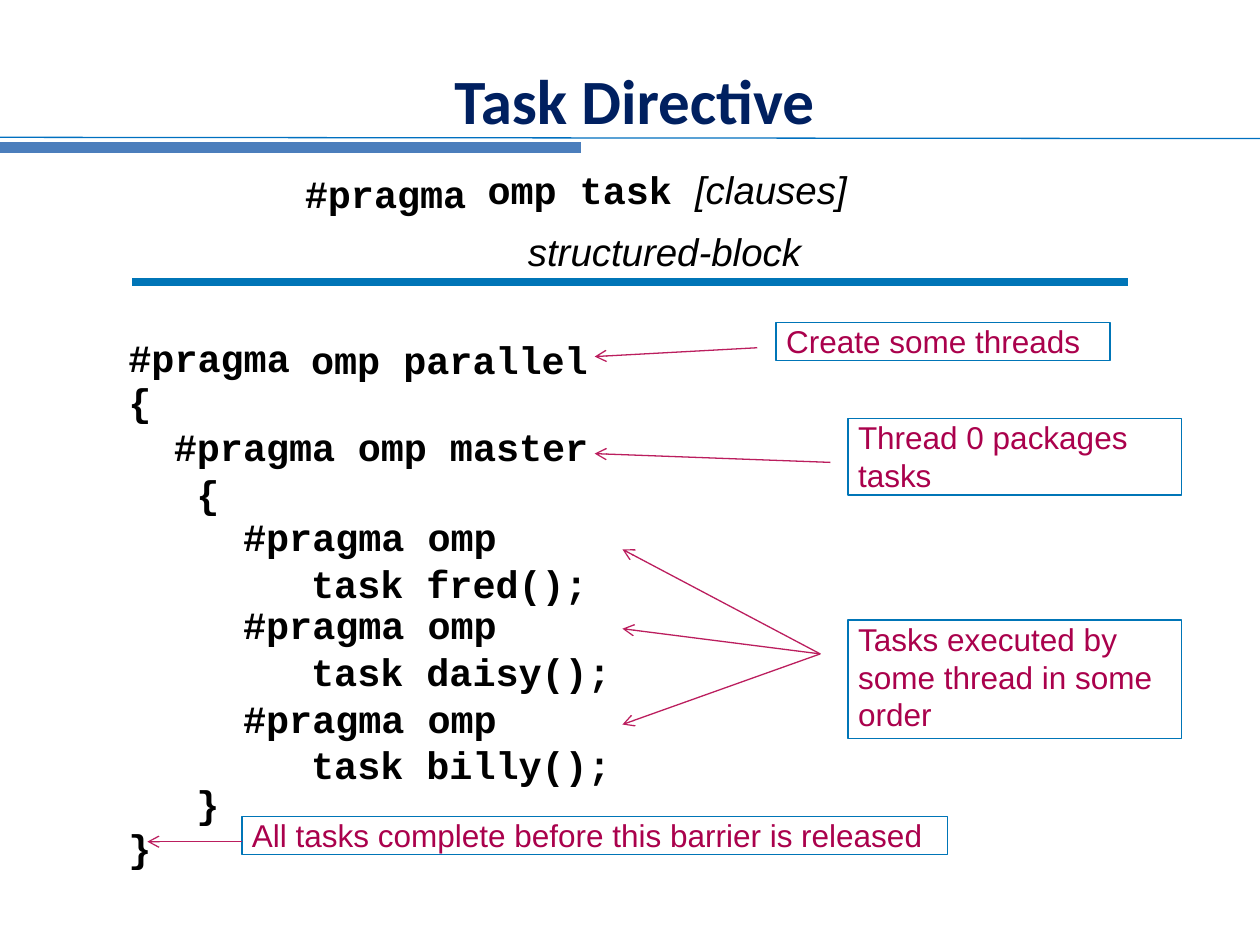
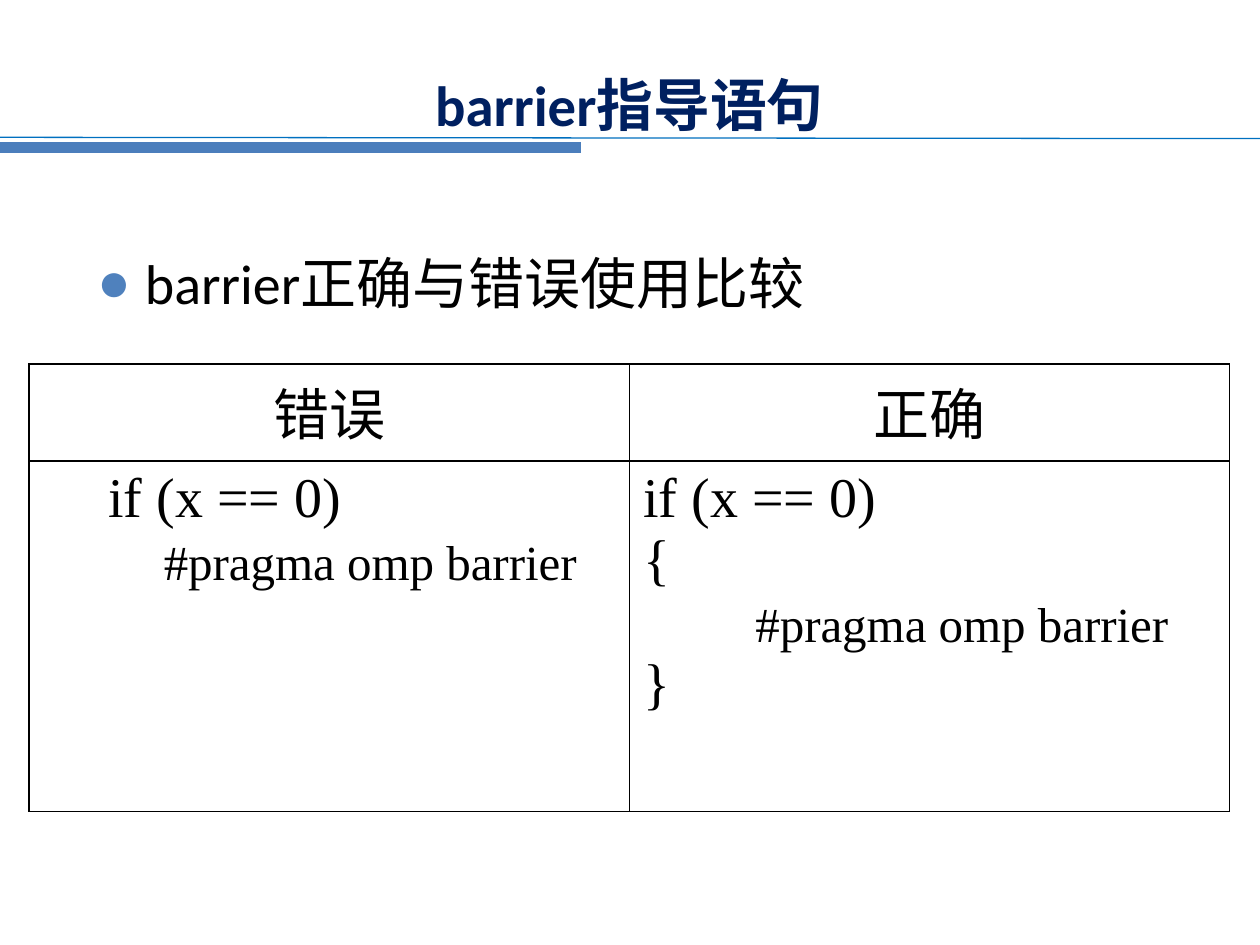
from dataclasses import dataclass
from typing import Optional

from lxml.etree import SubElement
from pptx import Presentation
from pptx.dml.color import RGBColor
from pptx.enum.shapes import MSO_CONNECTOR as Connector, MSO_SHAPE as Preset
from pptx.enum.text import MSO_ANCHOR as Anchor, MSO_AUTO_SIZE as AutoSize, PP_ALIGN as Align
from pptx.oxml import parse_xml
from pptx.oxml.ns import nsdecls, qn
from pptx.util import Emu, Inches, Pt

COLORS = {
    "title": "002060",
    "rule": "0070C0",
    "band": "4B7EBC",
    "frame": "0075B7",
    "callout": "AA014C",
    "arrow": "BB1E5E",
    "bullet": "4F81BD",
    "text": "000000",
}
CODE, SANS, SERIF, HEADING = "Courier New", "Arial", "Times New Roman", "Calibri"
COLUMNS, ROWS = 100, 75
UNIT = Inches(0.1)
TABLE_SIZE = 32


@dataclass(frozen=True)
class Box:
    column: float
    row: float
    columns: float
    rows: float

    def place(self) -> tuple:
        return tuple(grid(n) for n in (self.column, self.row, self.columns, self.rows))


@dataclass(frozen=True)
class Line:
    start: tuple
    end: tuple
    color: str
    width: float = 0.75
    arrow: bool = False


@dataclass(frozen=True)
class Style:
    font: str
    size: float
    color: str = "text"
    bold: bool = False
    italic: bool = False


@dataclass(frozen=True)
class Code:
    box: Box
    text: str
    margin: float = 0.01
    indent: float = 0
    spacing: Optional[float] = None
    style: Style = Style(CODE, 22, bold=True)


@dataclass(frozen=True)
class CodeLine:
    text: str
    size: float
    margin: float


CALLOUT = Style(SANS, 18, "callout")
SYNTAX = Style(SANS, 22, italic=True)
TITLE_BOX = Box(2.3, 5.5, 95.3, 5.4)
BANDS = [
    Line((0, 10.9), (COLUMNS, 11), "rule"),
    Line((0, 11.7), (46.1, 11.7), "band", 6),
]

CODE_BLOCKS = [
    Code(Box(10.1, 26.6, 13.5, 7), "#pragma\n{", spacing=Pt(25.5)),
    Code(Box(24.6, 26.7, 28, 3.7), "omp parallel"),
    Code(Box(13.7, 33.6, 13.5, 3.7), "#pragma"),
    Code(Box(15.5, 37.3, 4, 3.7), "{"),
    Code(Box(28.3, 33.6, 23.3, 3.7), "omp master"),
    Code(Box(19.2, 40.7, 32, 7.5), "#pragma omp\vtask fred();", 0.55, -0.54, 1.01),
    Code(Box(19.2, 47.7, 32, 15),
         "#pragma omp\vtask daisy();\n#pragma omp\vtask billy();", 0.55, -0.54, 1.01),
    Code(Box(15.5, 61.9, 4, 3.7), "}"),
    Code(Box(10.1, 65.4, 4, 3.7), "}"),
    Code(Box(24.1, 13.5, 13.5, 3.7), "#pragma"),
    Code(Box(41.8, 18.1, 24, 3.7), "structured-block", style=SYNTAX),
]
CALLOUTS = {
    "Create some threads": Box(61.6, 25.6, 26.5, 3),
    "Thread 0 packages tasks": Box(67.3, 33.2, 26.5, 6.1),
    "Tasks executed by some thread in some order": Box(67.3, 49.2, 26.5, 9.4),
    "All tasks complete before this barrier is released": Box(19.2, 64.8, 56, 3),
}
TASK_ORIGIN = (65.1, 51.9)
ARROWS = [
    ((60.1, 27.6), (47.2, 28.3)),
    ((65.9, 36.7), (47.2, 36)),
    (TASK_ORIGIN, (49.4, 43.6)),
    (TASK_ORIGIN, (49.4, 49.9)),
    (TASK_ORIGIN, (49.4, 57.5)),
    ((19.2, 66.8), (11.7, 66.8)),
]
COMPARISON = {
    "错误": [
        CodeLine("if (x == 0)", TABLE_SIZE, 0.52),
        CodeLine("#pragma omp barrier", 28, 0.96),
    ],
    "正确": [
        CodeLine("if (x == 0)", TABLE_SIZE, 0),
        CodeLine("{", TABLE_SIZE, 0),
        CodeLine("#pragma omp barrier", 28, 0.89),
        CodeLine("}", TABLE_SIZE, 0),
    ],
}


def grid(count: float) -> Emu:
    return Emu(round(count * UNIT))


def rgb(name: str) -> RGBColor:
    return RGBColor.from_string(COLORS[name])


def format_run(run, style: Style) -> None:
    run.font.name = style.font
    run.font.size = Pt(style.size)
    run.font.bold = style.bold
    run.font.italic = style.italic
    run.font.color.rgb = rgb(style.color)


def format_text(text_frame, style: Style) -> None:
    for paragraph in text_frame.paragraphs:
        for run in paragraph.runs:
            format_run(run, style)


def indent_paragraph(paragraph, margin: float, indent: float = 0) -> None:
    properties = paragraph._p.get_or_add_pPr()
    properties.set("marL", str(Inches(margin)))
    properties.set("indent", str(Inches(indent)))


def clear_margins(text_frame) -> None:
    text_frame.margin_left = text_frame.margin_right = 0
    text_frame.margin_top = text_frame.margin_bottom = 0
    text_frame.word_wrap = True
    text_frame.vertical_anchor = Anchor.TOP


def draw_line(slide, line: Line) -> None:
    ends = [grid(n) for n in (*line.start, *line.end)]
    connector = slide.shapes.add_connector(Connector.STRAIGHT, *ends)
    connector.line.color.rgb = rgb(line.color)
    connector.line.width = Pt(line.width)
    if line.arrow:
        SubElement(connector.line._ln, qn("a:tailEnd"), type="arrow", w="med", len="med")
    SubElement(connector._element.spPr, qn("a:effectLst"))


def draw_code(slide, code: Code):
    text_frame = slide.shapes.add_textbox(*code.box.place()).text_frame
    clear_margins(text_frame)
    text_frame.text = code.text
    for paragraph in text_frame.paragraphs:
        indent_paragraph(paragraph, code.margin, code.indent)
        paragraph.line_spacing = code.spacing
    format_text(text_frame, code.style)
    return text_frame


def draw_callout(slide, text: str, box: Box) -> None:
    shape = slide.shapes.add_shape(Preset.RECTANGLE, *box.place())
    shape.shadow.inherit = False
    shape.fill.background()
    shape.line.color.rgb = rgb("frame")
    shape.line.width = Pt(0.75)
    clear_margins(shape.text_frame)
    shape.text_frame.text = text
    paragraph = shape.text_frame.paragraphs[0]
    paragraph.alignment = Align.LEFT
    indent_paragraph(paragraph, 0.08)
    format_text(shape.text_frame, CALLOUT)


def place_placeholder(shape, box: Box, text: str, style: Style) -> None:
    shape.left, shape.top, shape.width, shape.height = box.place()
    shape.text_frame.auto_size = AutoSize.NONE
    shape.text_frame.text = text
    format_text(shape.text_frame, style)


def add_titled_slide(presentation, layout: int, title: str, size: float):
    slide = presentation.slides.add_slide(presentation.slide_layouts[layout])
    for band in BANDS:
        draw_line(slide, band)
    shape = slide.shapes.title
    place_placeholder(shape, TITLE_BOX, title, Style(HEADING, size, "title", bold=True))
    shape.text_frame.vertical_anchor = Anchor.MIDDLE
    shape.text_frame.paragraphs[0].alignment = Align.CENTER
    return slide


def set_borders(cell) -> None:
    properties = cell._tc.get_or_add_tcPr()
    for position, side in enumerate("LRTB"):
        properties.insert(position, parse_xml(
            f'<a:ln{side} {nsdecls("a")} w="{Pt(1)}"><a:solidFill>'
            f'<a:srgbClr val="{COLORS["text"]}"/></a:solidFill></a:ln{side}>'))


def draw_comparison(slide, box: Box, header_rows: float) -> None:
    table = slide.shapes.add_table(2, len(COMPARISON), *box.place()).table
    table.first_row = table.horz_banding = False
    table.rows[0].height = grid(header_rows)
    table.rows[1].height = grid(box.rows - header_rows)
    for column, (heading, lines) in enumerate(COMPARISON.items()):
        header, body = table.cell(0, column), table.cell(1, column)
        header.text_frame.text = heading
        header.text_frame.paragraphs[0].alignment = Align.CENTER
        format_text(header.text_frame, Style(SERIF, TABLE_SIZE))
        body.text_frame.text = "\n".join(line.text for line in lines)
        for paragraph, line in zip(body.text_frame.paragraphs, lines):
            indent_paragraph(paragraph, line.margin)
            paragraph.space_before = Pt(TABLE_SIZE - line.size)
            format_run(paragraph.runs[0], Style(SERIF, line.size))
        for cell in (header, body):
            cell.margin_left = cell.margin_right = Inches(0.11)
            cell.fill.background()
            set_borders(cell)


def build_task_slide(presentation) -> None:
    slide = add_titled_slide(presentation, 5, "Task Directive", 36)
    title_frame = slide.shapes.title.text_frame
    title_frame.margin_left = title_frame.margin_right = title_frame.margin_bottom = 0
    title_frame.paragraphs[0].line_spacing = Pt(35.2)
    indent_paragraph(title_frame.paragraphs[0], 0.08)
    for code in CODE_BLOCKS:
        draw_code(slide, code)
    directive = draw_code(slide, Code(Box(38.6, 13.2, 40.3, 3.7), "omp task "))
    clauses = directive.paragraphs[0].add_run()
    clauses.text = "[clauses]"
    format_run(clauses, SYNTAX)
    for text, box in CALLOUTS.items():
        draw_callout(slide, text, box)
    for start, end in ARROWS:
        draw_line(slide, Line(start, end, "arrow", arrow=True))
    draw_line(slide, Line((10.5, 22.4), (89.5, 22.4), "frame", 4.75))


def build_barrier_slide(presentation) -> None:
    slide = add_titled_slide(presentation, 1, "barrier指导语句", 32.4)
    body = slide.placeholders[1]
    place_placeholder(body, Box(6.7, 19.2, 85.8, 50), "barrier正确与错误使用比较", Style(HEADING, 32))
    paragraph = body.text_frame.paragraphs[0]
    indent_paragraph(paragraph, 0.38, -0.38)
    properties = paragraph._p.get_or_add_pPr()
    bullet_color = SubElement(properties, qn("a:buClr"))
    SubElement(bullet_color, qn("a:srgbClr"), val=COLORS["bullet"])
    SubElement(properties, qn("a:buChar"), char="●")
    draw_comparison(slide, Box(2.3, 28.9, 95.3, 35.5), 7.7)


def main() -> None:
    presentation = Presentation()
    presentation.slide_width = grid(COLUMNS)
    presentation.slide_height = grid(ROWS)
    build_task_slide(presentation)
    build_barrier_slide(presentation)
    presentation.save("out.pptx")


if __name__ == "__main__":
    main()
